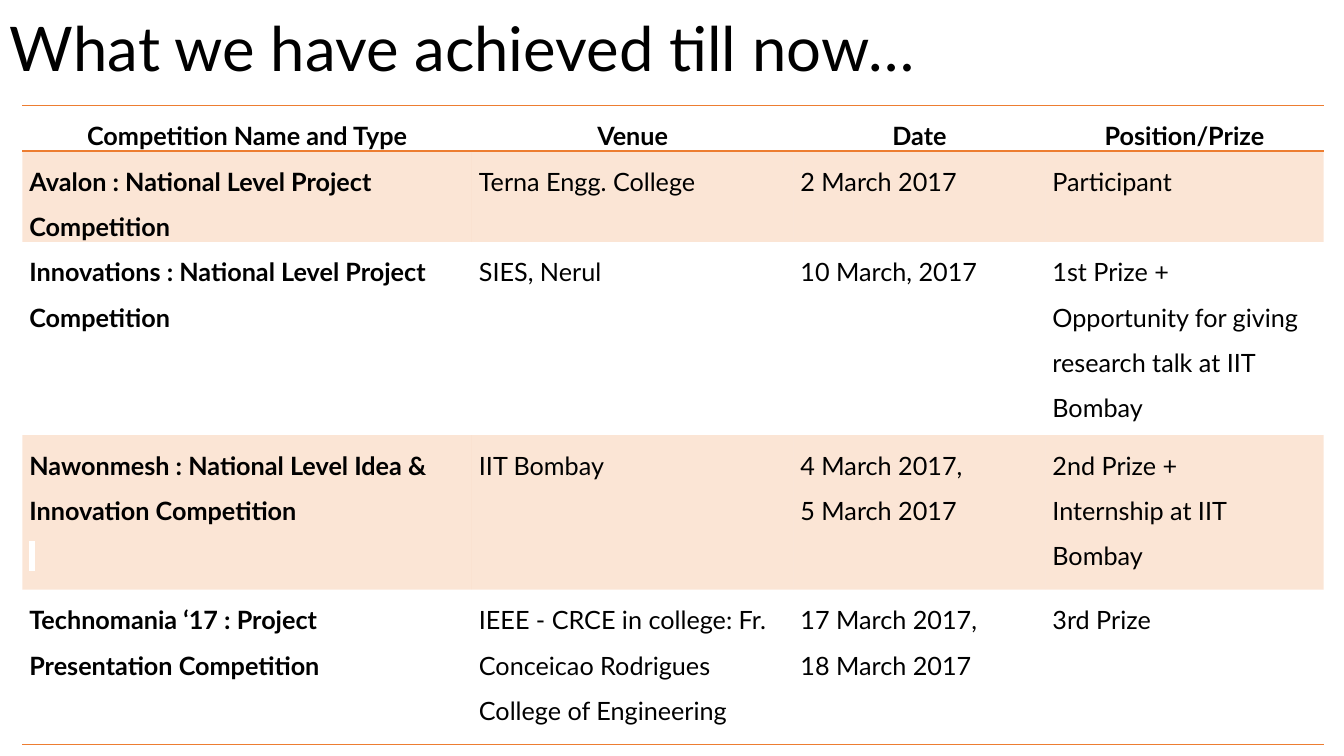
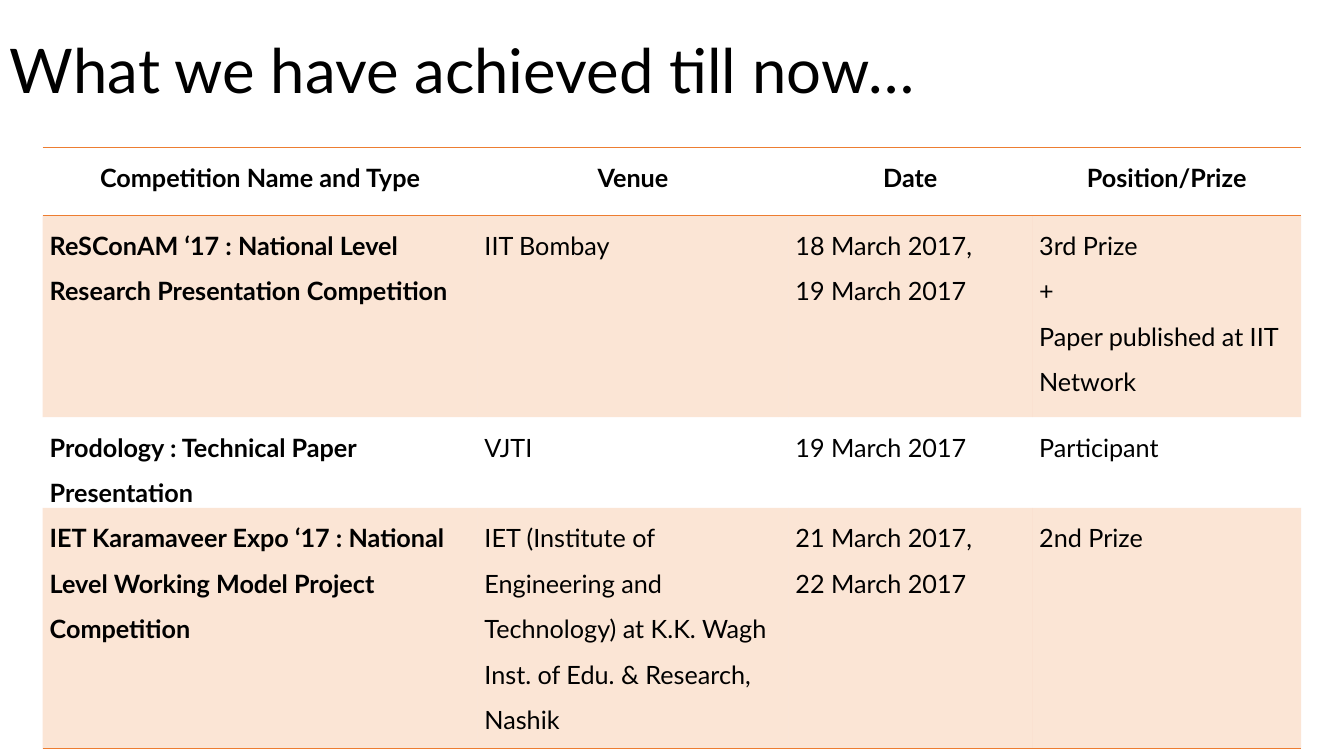
from lxml.etree import SubElement as Sub
from pptx import Presentation
from pptx.dml.color import RGBColor
from pptx.enum.text import MSO_ANCHOR as Anchor, PP_ALIGN as Align
from pptx.oxml.ns import qn
from pptx.util import Pt

BLACK = RGBColor(0x00, 0x00, 0x00)
WHITE = RGBColor(0xFF, 0xFF, 0xFF)
ORANGE = RGBColor(0xED, 0x7D, 0x31)
FONT = "Lato"
TITLE = "What we have achieved till now…"
HEADS = ("Competition Name and Type", "Venue", "Date", "Position/Prize")
SHARES = (446, 319, 250, 276)
PLAIN = "{2D5ABB26-0587-4C30-8999-92F81FD0307C}"
MARK = chr(160)

FIRST = [
    ("Avalon : National Level Project Competition",
     "Terna Engg. College", "2 March 2017", "Participant"),
    ("Innovations : National Level Project Competition",
     "SIES, Nerul", "10 March, 2017",
     "1st Prize +\nOpportunity for giving research talk at IIT Bombay"),
    ("Nawonmesh : National Level Idea & Innovation Competition\n" + MARK,
     "IIT Bombay", "4 March 2017,\n5 March 2017",
     "2nd Prize +\nInternship at IIT Bombay"),
    ("Technomania ‘17 : Project Presentation Competition",
     "IEEE - CRCE in college: Fr. Conceicao Rodrigues College of Engineering",
     "17 March 2017,\n18 March 2017", "3rd Prize"),
]
SECOND = [
    ("ReSConAM ‘17 : National Level Research Presentation Competition",
     "IIT Bombay", "18 March 2017,\n19 March 2017",
     "3rd Prize\n+\nPaper published at IIT Network"),
    ("Prodology : Technical Paper Presentation",
     "VJTI", "19 March 2017", "Participant"),
    ("IET Karamaveer Expo ‘17 : National Level Working Model Project Competition",
     "IET (Institute of Engineering and Technology) at K.K. Wagh "
     "Inst. of Edu. & Research, Nashik",
     "21 March 2017,\n22 March 2017", "2nd Prize"),
]


def style(para, size, space, bold=False, align=Align.LEFT):
    para.alignment = align
    para.line_spacing = space
    font = para.font
    font.name, font.size, font.bold = FONT, Pt(size), bold
    font.color.rgb = BLACK


def rule(cell, side):
    line = Sub(cell._tc.get_or_add_tcPr(), qn("a:" + side), w=str(Pt(1)))
    fill = Sub(line, qn("a:solidFill"))
    Sub(fill, qn("a:srgbClr"), val=str(ORANGE))


def tint(cell):
    cell.fill.solid()
    cell.fill.fore_color.rgb = ORANGE
    color = cell._tc.tcPr.find(qn("a:solidFill")).find(qn("a:srgbClr"))
    Sub(color, qn("a:alpha"), val="20000")


def mark(run):
    light = Sub(run._r.get_or_add_rPr(), qn("a:highlight"))
    Sub(light, qn("a:srgbClr"), val=str(WHITE))


def fill_cell(cell, text, row, col, last):
    head = row == 0
    cell.margin_left = cell.margin_right = Pt(5)
    cell.margin_top = cell.margin_bottom = 0
    cell.text = text
    for para in cell.text_frame.paragraphs:
        style(para, 18, 1.5, head or col == 0,
              Align.CENTER if head else Align.LEFT)
        for run in para.runs:
            if run.text == MARK:
                mark(run)
    if head:
        rule(cell, "lnT")
    if head or row == last:
        rule(cell, "lnB")
    if row % 2:
        tint(cell)
    else:
        cell.fill.background()


def add_title(slide, height):
    box = slide.shapes.add_textbox(0, 0, Pt(828), Pt(height))
    frame = box.text_frame
    frame.word_wrap = True
    frame.vertical_anchor = Anchor.MIDDLE
    frame.margin_top = frame.margin_bottom = Pt(7.2)
    frame.text = TITLE
    style(frame.paragraphs[0], 44, 0.9)


def add_grid(slide, left, top, width, heights, rows):
    data = [HEADS] + rows
    table = slide.shapes.add_table(
        len(data), len(HEADS), Pt(left), Pt(top),
        Pt(width), Pt(sum(heights))).table
    table.horz_banding = False
    table._tbl.tblPr.find(qn("a:tableStyleId")).text = PLAIN
    for col, share in zip(table.columns, SHARES):
        col.width = Pt(width * share / sum(SHARES))
    for r, (texts, height) in enumerate(zip(data, heights)):
        table.rows[r].height = Pt(height)
        for c, text in enumerate(texts):
            fill_cell(table.cell(r, c), text, r, c, len(rows))


def add_page(deck, title, left, top, width, heights, rows):
    slide = deck.slides.add_slide(deck.slide_layouts[6])
    add_title(slide, title)
    add_grid(slide, left, top, width, heights, rows)


def main():
    deck = Presentation()
    deck.slide_width, deck.slide_height = Pt(960), Pt(540)
    add_page(deck, 74, 16, 75.5, 929.5,
             (28, 55.5, 138, 110.5, 110.5), FIRST)
    add_page(deck, 104.4, 30.5, 105.5, 899,
             (48.5, 144, 43.5, 172), SECOND)
    deck.save("out.pptx")


if __name__ == "__main__":
    main()
